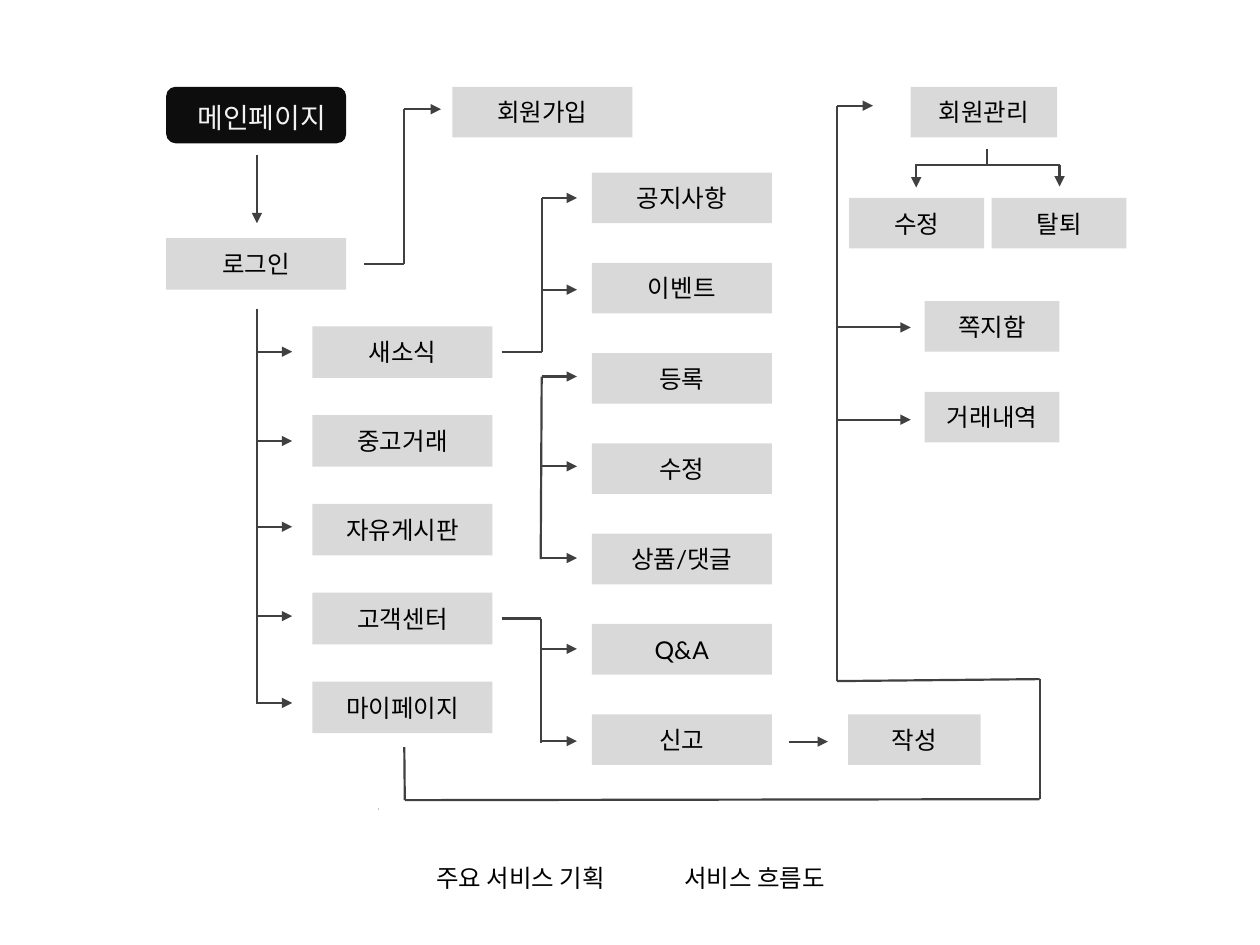
from lxml.etree import SubElement
from pptx import Presentation
from pptx.dml.color import RGBColor
from pptx.enum.shapes import MSO_CONNECTOR, MSO_SHAPE
from pptx.enum.text import MSO_ANCHOR, MSO_AUTO_SIZE, PP_ALIGN
from pptx.oxml.ns import qn
from pptx.util import Cm, Pt

BLACK = RGBColor(0x00, 0x00, 0x00)
START_FILL = RGBColor(0x0D, 0x0D, 0x0D)
START_TEXT = RGBColor(0xF2, 0xF2, 0xF2)
BOX_FILL = RGBColor(0xD9, 0xD9, 0xD9)
LINE_COLOR = RGBColor(0x40, 0x40, 0x40)
DOT_COLOR = RGBColor(0xBF, 0xBF, 0xBF)

deck = Presentation()
deck.slide_width, deck.slide_height = Cm(25.4), Cm(19.05)
page = deck.slides.add_slide(deck.slide_layouts[5])


def set_font(paragraph, name, size, color):
    paragraph.font.name = name
    paragraph.font.size = Pt(size)
    paragraph.font.color.rgb = color


def add_line(points, arrow=False, color=LINE_COLOR, width=1.25):
    for start, end in zip(points, points[1:]):
        line = page.shapes.add_connector(
            MSO_CONNECTOR.STRAIGHT, *[Cm(value) for value in start + end])
        line.line.color.rgb = color
        line.line.width = Pt(width)
        if arrow and end == points[-1]:
            SubElement(line.line._get_or_add_ln(), qn("a:tailEnd"), type="triangle")
        SubElement(line._element.spPr, qn("a:effectLst"))


start_box = page.shapes.add_shape(
    MSO_SHAPE.ROUNDED_RECTANGLE, Cm(3.35), Cm(1.75), Cm(3.63), Cm(1.14))
start_box.shadow.inherit = False
start_box.fill.solid()
start_box.fill.fore_color.rgb = START_FILL
start_box.line.fill.background()

menu_names = ["새소식", "중고거래", "자유게시판", "고객센터", "마이페이지"]
detail_names = ["공지사항", "이벤트", "등록", "수정", "상품/댓글", "Q&A", "신고"]
boxes = [
    ("로그인", 3.35, 4.8, 3.63, 1.04),
    ("회원가입", 9.12, 1.75, 3.63, 1.02),
    ("회원관리", 18.36, 1.75, 2.95, 1.02),
    ("수정", 17.12, 3.99, 2.72, 1.02),
    ("탈퇴", 19.99, 3.99, 2.72, 1.02),
    ("쪽지함", 18.64, 6.07, 2.72, 1.02),
    ("거래내역", 18.64, 7.9, 2.72, 1.02),
    ("작성", 17.1, 14.4, 2.67, 1.02),
]
boxes += [(name, 6.3, 6.58 + 1.79 * row, 3.63, 1.04) for row, name in enumerate(menu_names)]
boxes += [(name, 11.93, 3.48 + 1.82 * row, 3.63, 1.02) for row, name in enumerate(detail_names)]

for name, *place in boxes:
    box = page.shapes.add_shape(MSO_SHAPE.RECTANGLE, *[Cm(value) for value in place])
    box.shadow.inherit = False
    box.fill.solid()
    box.fill.fore_color.rgb = BOX_FILL
    box.line.fill.background()
    box.text_frame.vertical_anchor = MSO_ANCHOR.MIDDLE
    paragraph = box.text_frame.paragraphs[0]
    paragraph.text = name
    paragraph.alignment = PP_ALIGN.CENTER
    set_font(paragraph, "Lato", 14, BLACK)

start_label = page.shapes.add_textbox(Cm(3.73), Cm(1.9), Cm(3.43), Cm(0.94))
start_label.text_frame.word_wrap = True
paragraph = start_label.text_frame.paragraphs[0]
paragraph.text = "메인페이지"
set_font(paragraph, "Arial", 16, START_TEXT)

trunks = [
    [(5.18, 6.22), (5.18, 14.19)],
    [(7.34, 5.33), (8.15, 5.33), (8.15, 2.2)],
    [(10.11, 7.1), (10.92, 7.1), (10.92, 3.99)],
    [(10.92, 7.59), (10.9, 11.27)],
    [(10.11, 12.47), (10.91, 12.47), (10.91, 14.97)],
    [(8.15, 15.06), (8.16, 16.13), (20.96, 16.11), (20.96, 13.69), (16.87, 13.73), (16.87, 2.13)],
    [(19.89, 3), (19.89, 3.33)],
    [(18.45, 3.33), (21.36, 3.33)],
]
for points in trunks:
    add_line(points)

branches = [
    (5.18, 5.89, [7.09, 8.89, 10.62, 12.42, 14.17]),
    (8.15, 8.89, [2.2]),
    (10.92, 11.63, [3.99, 5.84, 7.59, 9.4, 11.25, 13.08, 14.94]),
    (15.9, 16.69, [14.95]),
    (16.87, 17.6, [2.13]),
    (16.87, 18.36, [6.6, 8.46]),
]
for left, right, heights in branches:
    for height in heights:
        add_line([(left, height), (right, height)], arrow=True)

for across, top, bottom in [(5.18, 3.12, 4.5), (18.47, 3.33, 3.78), (21.36, 3.33, 3.76)]:
    add_line([(across, top), (across, bottom)], arrow=True)

add_line([(7.62, 16.31), (7.65, 16.31)], color=DOT_COLOR, width=1.5)

title = page.shapes.title
title.left, title.top, title.width, title.height = Cm(7.85), Cm(17.27), Cm(9.78), Cm(0.86)
frame = title.text_frame
frame.auto_size = MSO_AUTO_SIZE.NONE
frame.vertical_anchor = MSO_ANCHOR.TOP
frame.margin_left = Cm(0.94)
paragraph = frame.paragraphs[0]
paragraph.text = "주요 서비스 기획\t서비스 흐름도"
paragraph.alignment = PP_ALIGN.LEFT
tab_list = SubElement(paragraph._p.get_or_add_pPr(), qn("a:tabLst"))
SubElement(tab_list, qn("a:tab"), pos=str(Cm(5)), algn="l")
set_font(paragraph, "Calibri", 14, BLACK)

deck.save("out.pptx")
